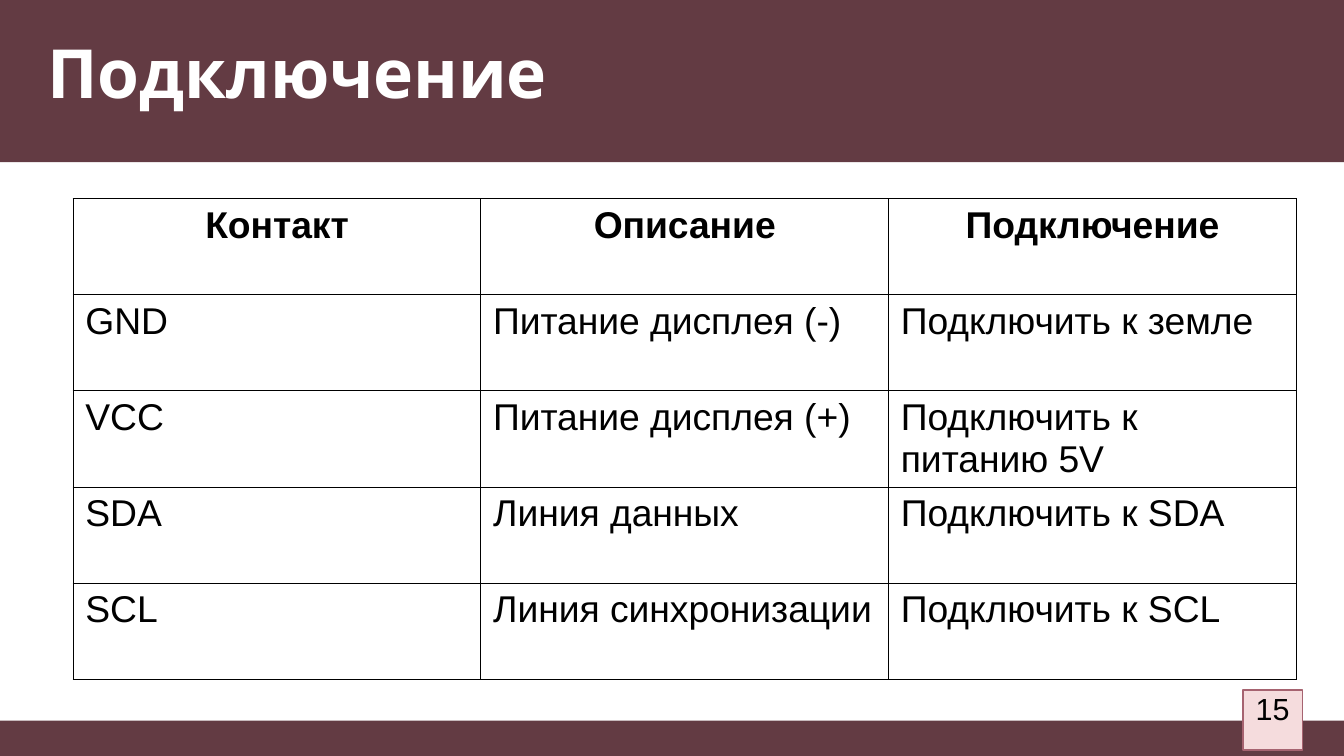
from lxml import etree
from pptx import Presentation
from pptx import util as u
from pptx.dml.color import RGBColor
from pptx.enum import shapes, text
from pptx.oxml import ns

COLORS = {
    "band": "633B43",
    "badge": "F5DCDD",
    "badge_line": "A66370",
    "ink": "000000",
    "white": "FFFFFF",
}
ROWS = [
    ("Контакт", "Описание", "Подключение"),
    ("GND", "Питание дисплея (-)", "Подключить к земле"),
    ("VCC", "Питание дисплея (+)", "Подключить к питанию 5V"),
    ("SDA", "Линия данных", "Подключить к SDA"),
    ("SCL", "Линия синхронизации", "Подключить к SCL"),
]


def write(frame, words, size, font="Arial", color="ink", bold=False,
          align=text.PP_ALIGN.LEFT):
    para = frame.paragraphs[0]
    para.alignment = align
    span = para.add_run()
    span.text = words
    span.font.name = font
    span.font.size = u.Pt(size)
    span.font.bold = bold
    span.font.color.rgb = RGBColor.from_string(COLORS[color])


def add_borders(cell, color, width):
    properties = cell._tc.get_or_add_tcPr()
    for side in ("lnL", "lnR", "lnT", "lnB"):
        line = etree.SubElement(properties, ns.qn(f"a:{side}"), w=str(u.Pt(width)))
        fill = etree.SubElement(line, ns.qn("a:solidFill"))
        etree.SubElement(fill, ns.qn("a:srgbClr"), val=COLORS[color])


deck = Presentation()
deck.slide_width = u.Inches(11.02)
deck.slide_height = u.Inches(6.2)
page = deck.slides.add_slide(deck.slide_layouts[5])

# Bands and number badge
for left, top, width, height, fill, line in [
    (0, 5.91, 11.02, 0.29, "band", None),
    (0, 0, 11.02, 1.33, "band", None),
    (10.19, 5.66, 0.49, 0.49, "badge", "badge_line"),
]:
    box = page.shapes.add_shape(
        shapes.MSO_SHAPE.RECTANGLE,
        u.Inches(left), u.Inches(top), u.Inches(width), u.Inches(height))
    box.shadow.inherit = False
    box.fill.solid()
    box.fill.fore_color.rgb = RGBColor.from_string(COLORS[fill])
    if line:
        box.line.color.rgb = RGBColor.from_string(COLORS[line])
        box.line.width = u.Pt(0.85)
    else:
        box.line.fill.background()

number = page.shapes.add_textbox(
    u.Inches(10.04), u.Inches(5.51), u.Inches(0.79), u.Inches(0.59))
number.text_frame.vertical_anchor = text.MSO_ANCHOR.MIDDLE
write(number.text_frame, "15", 18, align=text.PP_ALIGN.CENTER)

# Title, brought in front of the top band
title = page.shapes.title
title.left, title.top = u.Inches(0.39), u.Inches(0.25)
title.width, title.height = u.Inches(10.24), u.Inches(0.76)
title.text_frame.vertical_anchor = text.MSO_ANCHOR.TOP
write(title.text_frame, "Подключение", 40, font="Karla", color="white", bold=True)
title.element.getparent().append(title.element)

for frame in (number.text_frame, title.text_frame):
    frame.word_wrap = True
    frame.auto_size = text.MSO_AUTO_SIZE.NONE
    frame.margin_left = frame.margin_right = 0
    frame.margin_top = frame.margin_bottom = 0

# Pin table
table = page.shapes.add_table(
    len(ROWS), len(ROWS[0]),
    u.Inches(0.6), u.Inches(1.63), u.Inches(10.03), u.Inches(3.94)).table
table.horz_banding = False
for row_index, row in enumerate(ROWS):
    header = row_index == 0
    for column_index, words in enumerate(row):
        cell = table.cell(row_index, column_index)
        add_borders(cell, "ink", 0.57)
        cell.fill.background()
        write(cell.text_frame, words, 22, bold=header,
              align=text.PP_ALIGN.CENTER if header else text.PP_ALIGN.LEFT)

deck.save("out.pptx")
